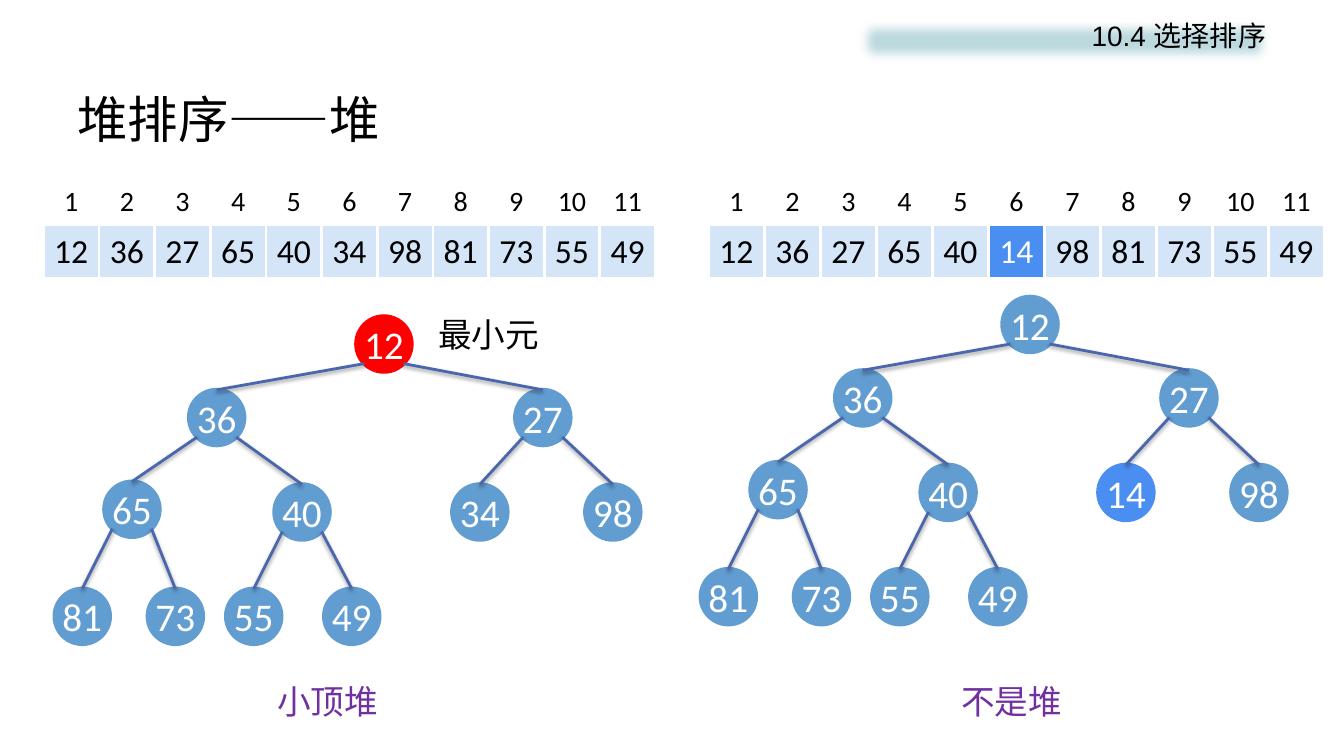
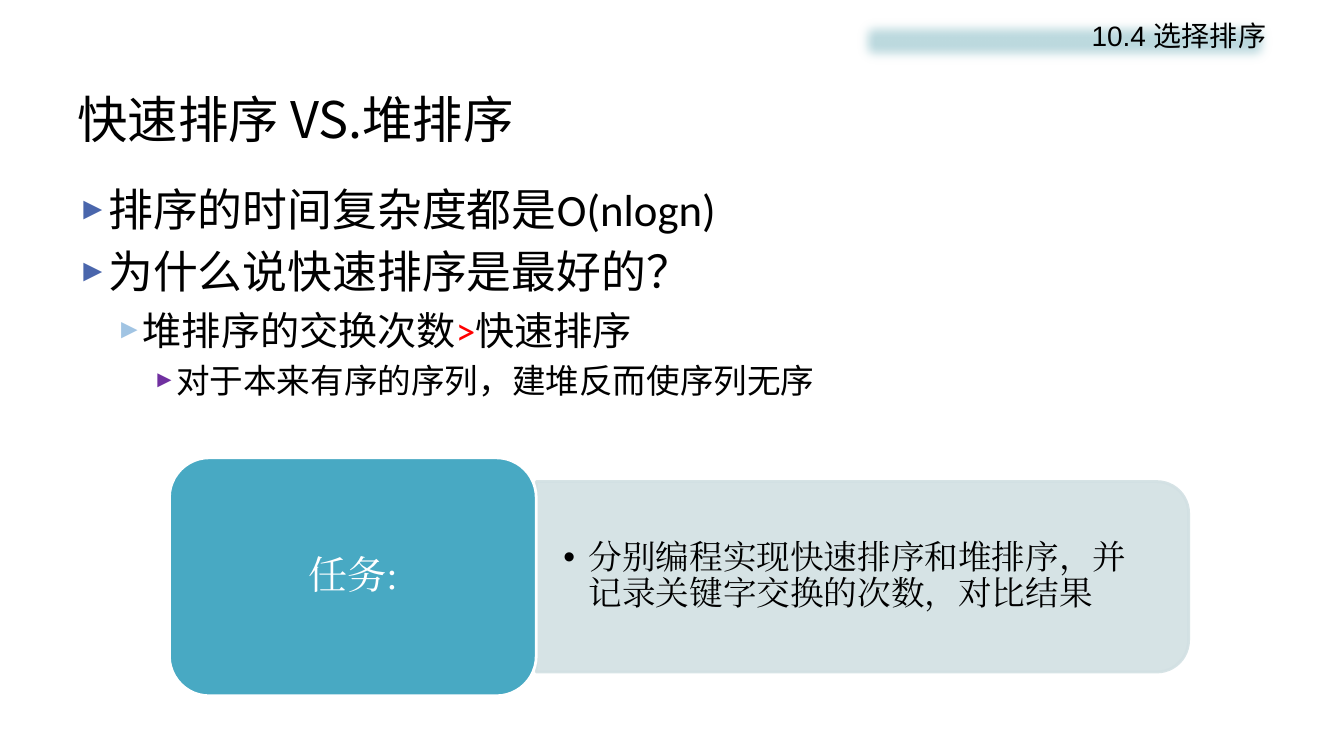
from lxml import etree
from pptx import Presentation
from pptx.dml.color import RGBColor
from pptx.enum.shapes import MSO_CONNECTOR, MSO_SHAPE
from pptx.enum.text import MSO_ANCHOR, MSO_AUTO_SIZE, PP_ALIGN
from pptx.oxml.ns import qn
from pptx.util import Pt

LEFT, CENTER, RIGHT = PP_ALIGN.LEFT, PP_ALIGN.CENTER, PP_ALIGN.RIGHT
TOP, MIDDLE = MSO_ANCHOR.TOP, MSO_ANCHOR.MIDDLE
STRAIGHT = MSO_CONNECTOR.STRAIGHT
OVAL, RECTANGLE = MSO_SHAPE.OVAL, MSO_SHAPE.RECTANGLE
ROUNDED, ROUNDED_TOP = MSO_SHAPE.ROUNDED_RECTANGLE, MSO_SHAPE.ROUND_2_SAME_RECTANGLE
NO_AUTOFIT = MSO_AUTO_SIZE.NONE

BLACK, WHITE, RED, PURPLE = "000000", "FFFFFF", "FF0000", "7030A0"
NODE_BLUE, MARK_BLUE, EDGE_BLUE = "629DD1", "4A8EF2", "4A66AC"
CELL_BLUE, HEADER_TEAL = "D4E5F7", "BDDADF"
TASK_TEAL, PANEL_GREY = "48A9C3", "D2E0E3"

TITLE_BOX = (48, 57.5, 864, 54)
HEADER_BOX = (609, 10, 302.5, 39)
BODY_BOX = (48, 126, 864, 186.5)

# Left indent, size, bullet colour and hanging indent of each list level
LIST_LEVELS = [(20, 32, EDGE_BLUE, 20), (44, 28, "A1C4E3", 16.5), (67.5, 24, PURPLE, 13.5)]

# Node places in level order, relative to the tree's corner
NODE_SIZE = 39.5
NODE_PLACES = [
    (215.5, 0),
    (96, 52.5), (329, 52.5),
    (35.5, 118), (157, 120), (284, 120), (379, 120),
    (0, 194.5), (66.5, 194.5), (122.5, 194.5), (192.5, 194.5),
]


def color(value):
    return RGBColor.from_string(value)


def points(values):
    return [Pt(value) for value in values]


def apply_format(target, values):
    for name, value in values.items():
        setattr(target, name, value)


def add_element(parent, tag, **attributes):
    return etree.SubElement(parent, qn(tag), {k: str(v) for k, v in attributes.items()})


def add_run(paragraph, text, size, font="Calibri", text_color=BLACK):
    run = paragraph.add_run()
    run.text = text
    run.font.color.rgb = color(text_color)
    apply_format(run.font, {"size": Pt(size), "name": font, "bold": False})
    add_element(run.font._element, "a:ea", typeface=font)


def set_bullet(paragraph, character, left, hanging, bullet_color=None, percent=100):
    properties = paragraph._p.get_or_add_pPr()
    properties.set("marL", str(Pt(left)))
    properties.set("indent", str(-Pt(hanging)))
    if bullet_color:
        holder = add_element(properties, "a:buClr")
        add_element(holder, "a:srgbClr", val=bullet_color)
    add_element(properties, "a:buSzPct", val=percent * 1000)
    add_element(properties, "a:buFont", typeface="Arial")
    add_element(properties, "a:buChar", char=character)


def add_box(slide, kind, box, fill, line=None, line_width=0):
    shape = slide.shapes.add_shape(kind, *points(box))
    shape.shadow.inherit = False
    shape.fill.solid()
    shape.fill.fore_color.rgb = color(fill)
    if line:
        shape.line.color.rgb = color(line)
        shape.line.width = Pt(line_width)
    else:
        shape.line.fill.background()
    return shape


def add_label(slide, box, text, text_color):
    frame = slide.shapes.add_textbox(*points(box)).text_frame
    frame.word_wrap = False
    add_run(frame.paragraphs[0], text, 24, "Arial", text_color)


def place(shape, box):
    apply_format(shape, dict(zip(("left", "top", "width", "height"), points(box))))


def add_base_slide(presentation, layout_index, title):
    """Slide with the shared title style and section header."""
    slide = presentation.slides.add_slide(presentation.slide_layouts[layout_index])
    place(slide.shapes.title, TITLE_BOX)
    frame = slide.shapes.title.text_frame
    apply_format(frame, {"vertical_anchor": MIDDLE, "auto_size": NO_AUTOFIT})
    frame.paragraphs[0].alignment = LEFT
    add_run(frame.paragraphs[0], title, 36, "Noto Sans CJK SC")

    # Section header on a soft-edged band
    band = add_box(slide, RECTANGLE, HEADER_BOX, HEADER_TEAL)
    effects = band._element.spPr.find(qn("a:effectLst"))
    add_element(effects, "a:softEdge", rad=112500)
    band.text_frame.vertical_anchor = TOP
    paragraph = band.text_frame.paragraphs[0]
    paragraph.alignment = RIGHT
    add_run(paragraph, "10.4 选择排序", 20, "Arial")
    return slide


def fill_cell(cell, text, size, text_color, fill):
    margins = ("margin_left", "margin_right", "margin_top", "margin_bottom")
    apply_format(cell, dict.fromkeys(margins, Pt(3.6)))
    cell.vertical_anchor = MIDDLE
    properties = cell._tc.get_or_add_tcPr()
    for side in ("a:lnL", "a:lnR"):
        border = add_element(properties, side, w=Pt(2.25))
        add_element(add_element(border, "a:solidFill"), "a:srgbClr", val=WHITE)
    if fill:
        cell.fill.solid()
        cell.fill.fore_color.rgb = color(fill)
    else:
        cell.fill.background()
    paragraph = cell.text_frame.paragraphs[0]
    paragraph.alignment = CENTER
    add_run(paragraph, text, size, text_color=text_color)


def add_array(slide, left, top, column_width, keys, marked):
    """Array of keys below their indices."""
    heights = (33.5, 37.5)
    box = (left, top, column_width * len(keys), sum(heights))
    table = slide.shapes.add_table(2, len(keys), *points(box)).table
    apply_format(table, {"first_row": False, "horz_banding": False})
    for row, height in zip(table.rows, heights):
        row.height = Pt(height)
    for index, key in enumerate(keys):
        table.columns[index].width = Pt(column_width)
        is_marked = key == marked
        fill_cell(table.cell(0, index), str(index + 1), 20, BLACK, None)
        fill_cell(table.cell(1, index), str(key), 24, WHITE if is_marked else BLACK,
                  MARK_BLUE if is_marked else CELL_BLUE)


def add_edge(slide, parent, child, is_left):
    # Starts on the parent's lower diagonal, ends on top of the child
    reach = 0.5 ** 0.5 / 2
    start_x = parent.left + int(parent.width * (0.5 - reach if is_left else 0.5 + reach))
    start_y = parent.top + int(parent.height * (0.5 + reach))
    edge = slide.shapes.add_connector(STRAIGHT, start_x, start_y, child.left, child.top)
    edge.end_connect(child, 0)
    edge.line.color.rgb = color(EDGE_BLUE)
    edge.line.width = Pt(2)
    effects = add_element(edge._element.spPr, "a:effectLst")
    shadow = add_element(effects, "a:outerShdw", blurRad=Pt(3.1), dist=Pt(1.6),
                         dir=5400000, rotWithShape=0)
    add_element(add_element(shadow, "a:srgbClr", val=BLACK), "a:alpha", val=38000)


def add_tree(slide, left, top, keys, special_colors):
    """Complete binary tree of the keys in level order."""
    nodes = []
    for key, (x, y) in zip(keys, NODE_PLACES):
        fill = special_colors.get(key, NODE_BLUE)
        box = (left + x, top + y, NODE_SIZE, NODE_SIZE)
        node = add_box(slide, OVAL, box, fill, fill, 3)
        apply_format(node.text_frame, {"word_wrap": False, "vertical_anchor": MIDDLE})
        node.text_frame.paragraphs[0].alignment = CENTER
        add_run(node.text_frame.paragraphs[0], str(key), 28, text_color=WHITE)
        nodes.append(node)
    for index in range(1, len(nodes)):
        add_edge(slide, nodes[(index - 1) // 2], nodes[index], index % 2 == 1)


def add_list(body, box, items):
    """Bulleted list; each item is a level and its (text, colour) runs."""
    place(body, box)
    frame = body.text_frame
    frame.auto_size = NO_AUTOFIT
    for number, (level, runs) in enumerate(items):
        paragraph = frame.add_paragraph() if number else frame.paragraphs[0]
        paragraph.level = level
        left, size, bullet_color, hanging = LIST_LEVELS[level]
        set_bullet(paragraph, "►", left, hanging, bullet_color, 70)
        for text, text_color in runs:
            add_run(paragraph, text, size, text_color=text_color)


def add_task(slide, left, top, heading, task):
    """Heading block with a panel to its right."""
    block_width, block_height = 262, 170
    panel_width, panel_height = 466, 136
    panel_left = left + block_width
    middle = top + block_height / 2

    # Panel, turned so that its rounded corners face right
    turned_box = (panel_left + (panel_width - panel_height) / 2, middle - panel_width / 2,
                  panel_height, panel_width)
    panel = add_box(slide, ROUNDED_TOP, turned_box, PANEL_GREY, PANEL_GREY, 2)
    panel.rotation = 90
    for tone in panel._element.spPr.iter(qn("a:srgbClr")):
        add_element(tone, "a:alpha", val=90000)

    text_box = (panel_left, middle - 61.5, panel_width - 6.5, 123)
    frame = slide.shapes.add_textbox(*points(text_box)).text_frame
    apply_format(frame, {"word_wrap": True, "vertical_anchor": MIDDLE,
                         "margin_left": Pt(19.5), "margin_right": Pt(19.5),
                         "margin_top": Pt(10), "margin_bottom": Pt(10)})
    paragraph = frame.paragraphs[0]
    apply_format(paragraph, {"line_spacing": 0.9, "space_after": Pt(3.6)})
    set_bullet(paragraph, "•", 18, 18)
    add_run(paragraph, task, 24, "Times New Roman")

    # Heading block
    block = add_box(slide, ROUNDED, (left, top, block_width, block_height), TASK_TEAL, WHITE, 2)
    block.text_frame.vertical_anchor = MIDDLE
    apply_format(block.text_frame.paragraphs[0], {"alignment": CENTER, "line_spacing": 0.9})
    add_run(block.text_frame.paragraphs[0], heading, 28, "Times New Roman", WHITE)


def build_heap_slide(presentation):
    slide = add_base_slide(presentation, 5, "堆排序——堆")
    heap = [12, 36, 27, 65, 40, 34, 98, 81, 73, 55, 49]
    broken_heap = [14 if key == 34 else key for key in heap]

    add_array(slide, 31, 127.5, 39.75, heap, None)
    add_tree(slide, 39, 226, heap, {12: RED})
    add_label(slide, (306, 220.5, 87, 36), "最小元", BLACK)
    add_label(slide, (191, 483, 87, 36), "小顶堆", PURPLE)

    add_array(slide, 506, 127.5, 40, broken_heap, 14)
    add_tree(slide, 500.5, 212, broken_heap, {14: MARK_BLUE})
    add_label(slide, (679.5, 483, 87, 36), "不是堆", PURPLE)


def build_comparison_slide(presentation):
    slide = add_base_slide(presentation, 1, "快速排序 VS.堆排序")
    add_list(slide.placeholders[1], BODY_BOX, [
        (0, [("排序的时间复杂度都是O(nlogn)", BLACK)]),
        (0, [("为什么说快速排序是最好的？", BLACK)]),
        (1, [("堆排序的交换次数", BLACK), (">", RED), ("快速排序", BLACK)]),
        (2, [("对于本来有序的序列，建堆反而使序列无序", BLACK)]),
    ])
    add_task(slide, 121, 327, "任务:",
             "分别编程实现快速排序和堆排序，并记录关键字交换的次数，对比结果")


def main():
    presentation = Presentation()
    apply_format(presentation, {"slide_width": Pt(960), "slide_height": Pt(540)})
    build_heap_slide(presentation)
    build_comparison_slide(presentation)
    presentation.save("out.pptx")


if __name__ == "__main__":
    main()
